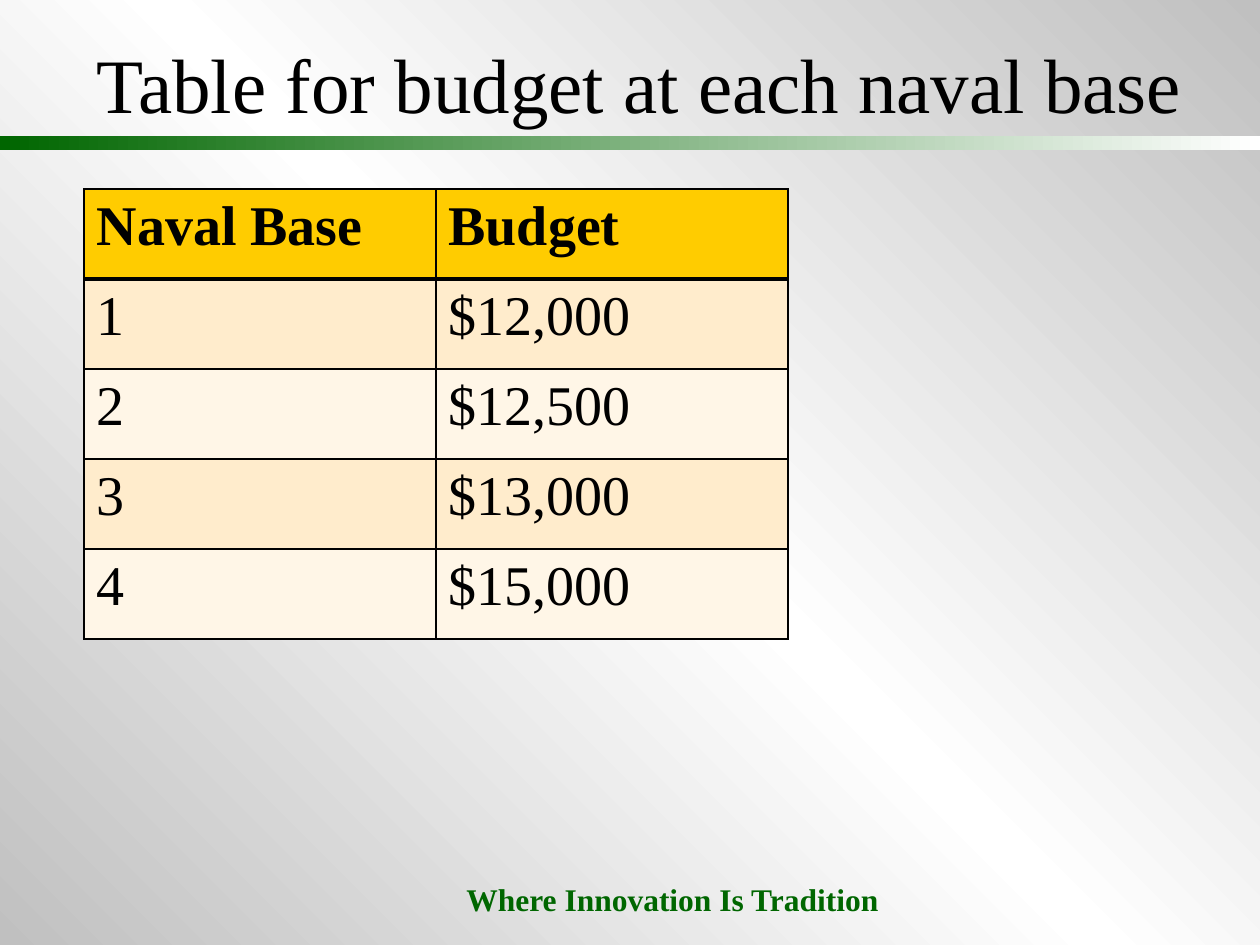
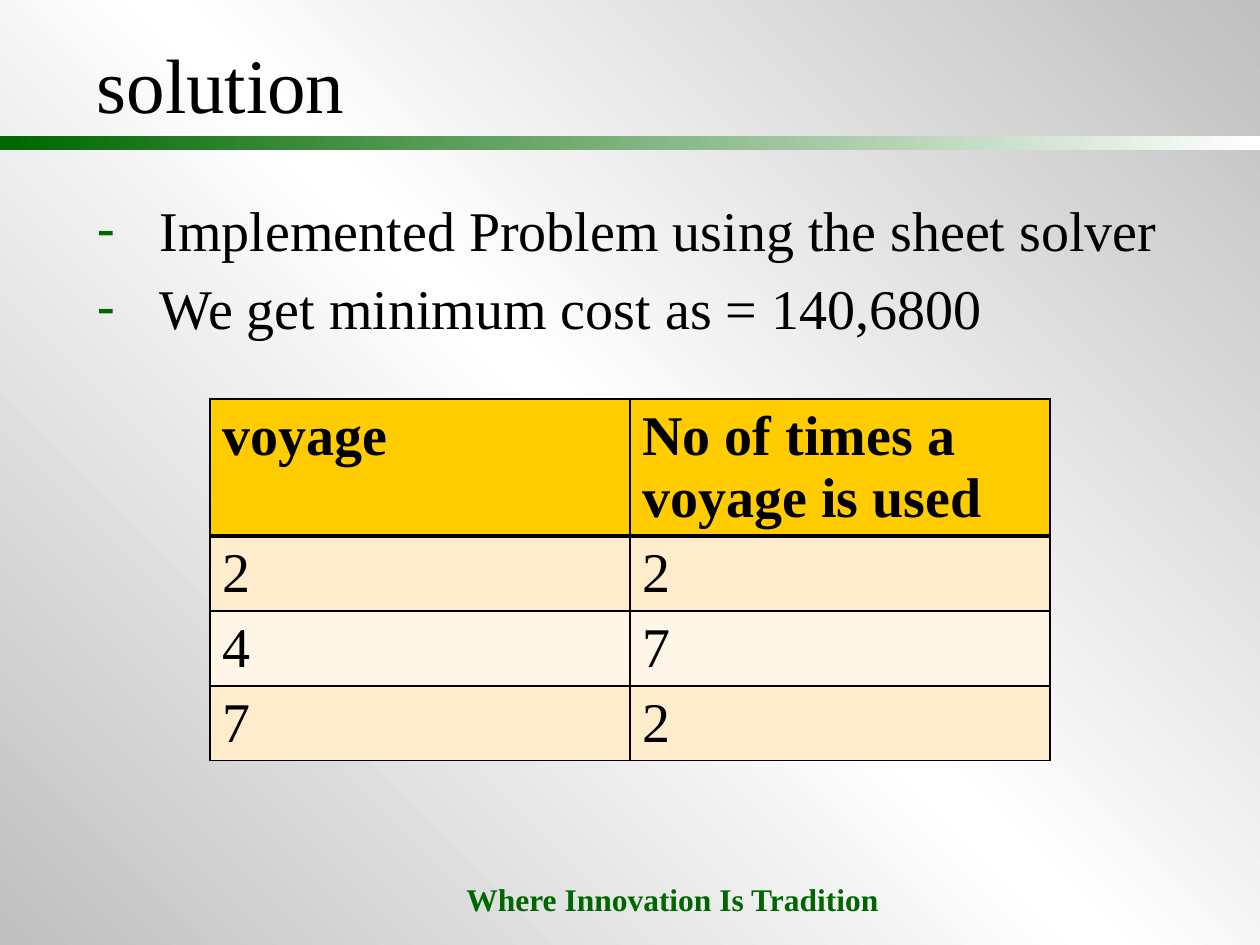
from copy import deepcopy

from lxml import etree
from pptx import Presentation
from pptx.dml.color import RGBColor
from pptx.enum.shapes import MSO_SHAPE
from pptx.enum.text import MSO_ANCHOR, MSO_AUTO_SIZE, PP_ALIGN
from pptx.oxml.ns import qn
from pptx.util import Emu, Pt

RECTANGLE = MSO_SHAPE.RECTANGLE
LEFT = PP_ALIGN.LEFT
TOP, MIDDLE = MSO_ANCHOR.TOP, MSO_ANCHOR.MIDDLE
NO_AUTOFIT, GROW = MSO_AUTO_SIZE.NONE, MSO_AUTO_SIZE.SHAPE_TO_FIT_TEXT

BLACK = RGBColor(0x00, 0x00, 0x00)
WHITE = RGBColor(0xFF, 0xFF, 0xFF)
SILVER = RGBColor(0xC0, 0xC0, 0xC0)
GREEN = RGBColor(0x00, 0x66, 0x00)
GOLD = RGBColor(0xFF, 0xCC, 0x00)
BANDS = [RGBColor(0xFF, 0xEC, 0xCC), RGBColor(0xFF, 0xF6, 0xE7)]

FONT = "Times New Roman"
NO_TABLE_STYLE = "{2D5ABB26-0587-4C30-8999-92F81FD0307C}"
TITLE_ONLY, TITLE_AND_CONTENT = 5, 1
EMU_PER_PX = 914400 / 126

SLIDE_SIZE = (1260, 945)
BAND_BOX = (0, 136, 1260, 14)
MOTTO_BOX = (454, 874, 441, 50)
TITLE_BOX = (84, 8, 1124, 150)
BODY_BOX = (84, 189, 1124, 525)
BULLET_INDENT = 63

MOTTO = "Where Innovation Is Tradition"
SLIDES = [
    {
        "title": "Table for budget at each naval base",
        "bullets": [],
        "rows": [
            ("Naval Base", "Budget"),
            ("1", "$12,000"),
            ("2", "$12,500"),
            ("3", "$13,000"),
            ("4", "$15,000"),
        ],
        "table_at": (84, 189),
        "cell_size": (352, 90),
    },
    {
        "title": "solution",
        "bullets": [
            "Implemented Problem using the sheet solver",
            "We get minimum cost as = 140,6800",
        ],
        "rows": [
            ("voyage", "No of times a voyage is used"),
            ("2", "2"),
            ("4", "7"),
            ("7", "2"),
        ],
        "table_at": (210, 399),
        "cell_size": (420, 51),
    },
]


def px(length):
    return Emu(round(length * EMU_PER_PX))


def box(lengths):
    return [px(length) for length in lengths]


def set_font(paragraph, size, color=BLACK, bold=False):
    font = paragraph.font
    font.name, font.size, font.bold = FONT, Pt(size), bold
    font.color.rgb = color


def place(shape, lengths):
    shape.left, shape.top, shape.width, shape.height = box(lengths)


def set_gradient(fill, angle, first, last):
    fill.gradient()
    fill.gradient_angle = angle
    for stop, color in zip(fill.gradient_stops, (first, last)):
        stop.color.rgb = color


def add_color(parent, color):
    etree.SubElement(parent, qn("a:srgbClr"), val=str(color))


def style_master(master, slide):
    fill = master.background.fill
    set_gradient(fill, 45, SILVER, WHITE)
    stops = master.element.find(".//" + qn("a:gsLst"))
    stops.append(deepcopy(stops[0]))
    for stop, position in zip(fill.gradient_stops, (0, 0.5, 1)):
        stop.position = position

    band = slide.shapes.add_shape(RECTANGLE, *box(BAND_BOX))
    band.shadow.inherit = False
    band.line.fill.background()
    set_gradient(band.fill, 0, GREEN, WHITE)

    motto = slide.shapes.add_textbox(*box(MOTTO_BOX))
    motto.text_frame.word_wrap = False
    motto.text_frame.auto_size = GROW
    motto.text_frame.text = MOTTO
    set_font(motto.text_frame.paragraphs[0], 18, GREEN, bold=True)

    for shape in (band, motto):
        master.element.cSld.spTree.append(shape.element)


def add_title(slide, text):
    title = slide.shapes.title
    place(title, TITLE_BOX)
    frame = title.text_frame
    frame.text = text
    frame.auto_size = NO_AUTOFIT
    frame.vertical_anchor = MIDDLE
    frame.paragraphs[0].alignment = LEFT
    set_font(frame.paragraphs[0], 44)


def add_bullets(slide, bullets):
    body = slide.placeholders[1]
    place(body, BODY_BOX)
    frame = body.text_frame
    frame.text = "\n".join(bullets)
    frame.auto_size = NO_AUTOFIT
    frame.vertical_anchor = TOP
    for paragraph in frame.paragraphs:
        properties = paragraph._p.get_or_add_pPr()
        properties.set("marL", str(px(BULLET_INDENT)))
        properties.set("indent", str(-px(BULLET_INDENT)))
        add_color(etree.SubElement(properties, qn("a:buClr")), GREEN)
        etree.SubElement(properties, qn("a:buChar"), char="-")
        set_font(paragraph, 32)


def set_borders(cell, top, bottom):
    properties = cell._tc.get_or_add_tcPr()
    for side, width in (("L", 1), ("R", 1), ("T", top), ("B", bottom)):
        line = etree.SubElement(properties, qn("a:ln" + side), w=str(Pt(width)))
        add_color(etree.SubElement(line, qn("a:solidFill")), BLACK)


def add_table(slide, rows, position, cell_size):
    column_width, row_height = cell_size
    size = (column_width * len(rows[0]), row_height * len(rows))
    frame = slide.shapes.add_table(len(rows), len(rows[0]), *box(position + size))
    table = frame.table
    frame.element.find(".//" + qn("a:tableStyleId")).text = NO_TABLE_STYLE
    for column in table.columns:
        column.width = px(column_width)
    for row_index, texts in enumerate(rows):
        table.rows[row_index].height = px(row_height)
        is_header = row_index == 0
        for column_index, text in enumerate(texts):
            cell = table.cell(row_index, column_index)
            set_borders(cell, 3 if row_index == 1 else 1, 3 if is_header else 1)
            cell.fill.solid()
            cell.fill.fore_color.rgb = GOLD if is_header else BANDS[(row_index - 1) % 2]
            cell.text = text
            set_font(cell.text_frame.paragraphs[0], 32, bold=is_header)


def main():
    presentation = Presentation()
    presentation.slide_width, presentation.slide_height = box(SLIDE_SIZE)
    for index, content in enumerate(SLIDES):
        layout = TITLE_AND_CONTENT if content["bullets"] else TITLE_ONLY
        slide = presentation.slides.add_slide(presentation.slide_layouts[layout])
        if index == 0:
            style_master(presentation.slide_master, slide)
        add_title(slide, content["title"])
        if content["bullets"]:
            add_bullets(slide, content["bullets"])
        add_table(slide, content["rows"], content["table_at"], content["cell_size"])
    presentation.save("out.pptx")


if __name__ == "__main__":
    main()
